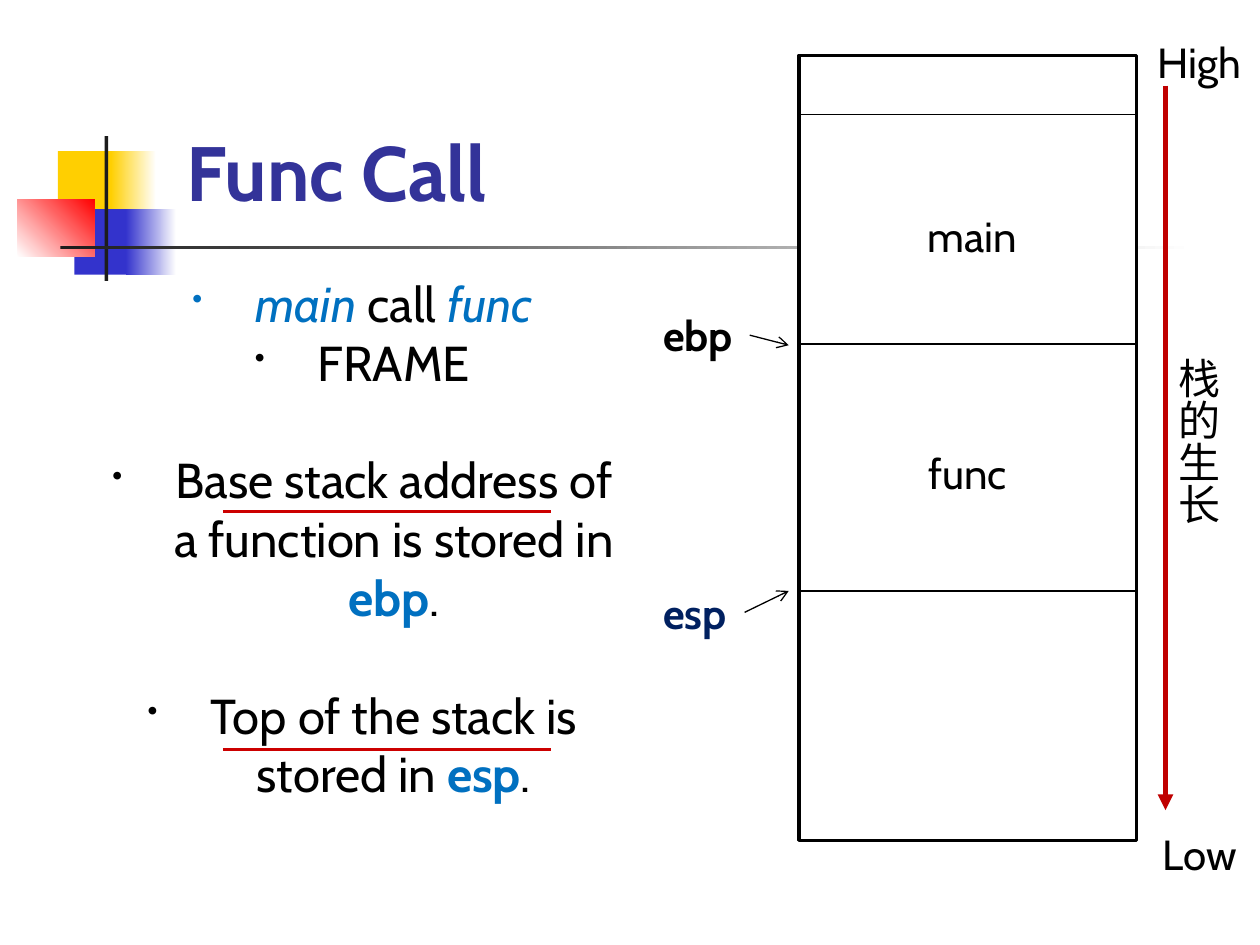
from dataclasses import dataclass
from typing import Optional

import lxml.etree
import pptx
import pptx.dml.color
import pptx.enum.shapes
import pptx.enum.text
import pptx.oxml.ns
import pptx.util

COLUMNS, ROWS = 100, 75
CELL = pptx.util.Inches(0.1)


@dataclass(frozen=True)
class Theme:
    font: str = "Cabin"
    title_size: int = 44
    body_size: int = 28
    label_size: int = 24
    paragraph_gap: float = 33.6
    thin: float = 0.75
    medium: float = 2
    thick: float = 3
    black: str = "000000"
    white: str = "FFFFFF"
    title: str = "333399"
    accent: str = "0070C0"
    navy: str = "002060"
    underline: str = "CC0000"
    growth: str = "C00000"
    yellow: str = "FFCF01"
    blue: str = "3333CC"
    red: str = "FF0000"
    charcoal: str = "1C1C1C"


THEME = Theme()


@dataclass(frozen=True)
class Area:
    column: float
    row: float
    columns: float
    rows: float

    def emu(self) -> list[int]:
        return [cells(n) for n in (self.column, self.row, self.columns, self.rows)]


@dataclass(frozen=True)
class Block:
    area: Area
    color: str
    fade_to: Optional[str] = None
    angle: float = 0
    outline: Optional[float] = None


@dataclass(frozen=True)
class Line:
    start: tuple[float, float]
    end: tuple[float, float]
    color: str = THEME.black
    width: float = THEME.thin
    arrowhead: Optional[str] = None


@dataclass(frozen=True)
class Label:
    text: str
    area: Area
    color: str = THEME.black
    bold: bool = False
    vertical: bool = False


@dataclass(frozen=True)
class Phrase:
    text: str
    color: str = THEME.black
    bold: bool = False
    italic: bool = False


@dataclass(frozen=True)
class Point:
    phrases: tuple[Phrase, ...]
    bullet: str = THEME.black
    gap: float = 0


def cells(count: float) -> int:
    return round(count * CELL)


def rgb(color: str) -> pptx.dml.color.RGBColor:
    return pptx.dml.color.RGBColor.from_string(color)


def add_child(parent, tag: str, **attributes: str):
    return lxml.etree.SubElement(parent, pptx.oxml.ns.qn(tag), attributes)


def set_font(font, size: float, color: Optional[str] = None, bold: Optional[bool] = None) -> None:
    font.name = THEME.font
    font.size = pptx.util.Pt(size)
    font.bold = bold
    if color:
        font.color.rgb = rgb(color)


def draw_block(slide, block: Block) -> None:
    rectangle = slide.shapes.add_shape(
        pptx.enum.shapes.MSO_SHAPE.RECTANGLE, *block.area.emu())
    rectangle.shadow.inherit = False
    if block.fade_to:
        rectangle.fill.gradient()
        rectangle.fill.gradient_angle = block.angle
        for stop, color in zip(rectangle.fill.gradient_stops, (block.color, block.fade_to)):
            stop.color.rgb = rgb(color)
    else:
        rectangle.fill.solid()
        rectangle.fill.fore_color.rgb = rgb(block.color)
    if block.outline:
        rectangle.line.color.rgb = rgb(THEME.black)
        rectangle.line.width = pptx.util.Pt(block.outline)
    else:
        rectangle.line.fill.background()


def draw_line(slide, line: Line) -> None:
    connector = slide.shapes.add_connector(
        pptx.enum.shapes.MSO_CONNECTOR.STRAIGHT,
        *(cells(n) for n in line.start + line.end))
    connector.line.color.rgb = rgb(line.color)
    connector.line.width = pptx.util.Pt(line.width)
    if line.arrowhead:
        add_child(connector.line._get_or_add_ln(), "a:tailEnd", type=line.arrowhead)
    add_child(connector._element.spPr, "a:effectLst")


def draw_label(slide, label: Label) -> None:
    frame = slide.shapes.add_textbox(*label.area.emu()).text_frame
    frame.word_wrap = False
    frame.auto_size = pptx.enum.text.MSO_AUTO_SIZE.SHAPE_TO_FIT_TEXT
    if label.vertical:
        frame._txBody.bodyPr.set("vert", "eaVert")
        frame.margin_left = frame.margin_right = cells(0.5)
        frame.margin_top = frame.margin_bottom = cells(1)
    paragraph = frame.paragraphs[0]
    paragraph.text = label.text
    paragraph.alignment = pptx.enum.text.PP_ALIGN.CENTER
    set_font(paragraph.font, THEME.label_size, label.color, label.bold)


def draw_points(slide, area: Area, points: list[Point]) -> None:
    frame = slide.shapes.add_textbox(*area.emu()).text_frame
    frame.word_wrap = True
    for index, point in enumerate(points):
        paragraph = frame.add_paragraph() if index else frame.paragraphs[0]
        paragraph.alignment = pptx.enum.text.PP_ALIGN.CENTER
        paragraph.space_before = pptx.util.Pt(point.gap)
        properties = paragraph._p.get_or_add_pPr()
        properties.set("marL", str(cells(5)))
        properties.set("indent", str(-cells(5)))
        add_child(add_child(properties, "a:buClr"), "a:srgbClr", val=point.bullet)
        add_child(properties, "a:buSzPct", val="60000")
        add_child(properties, "a:buChar", char="•")
        set_font(paragraph.font, THEME.body_size)
        for phrase in point.phrases:
            run = paragraph.add_run()
            run.text = phrase.text
            run.font.color.rgb = rgb(phrase.color)
            run.font.bold = phrase.bold
            run.font.italic = phrase.italic


def draw_title(slide, text: str, area: Area) -> None:
    title = slide.shapes.title
    title.left, title.top, title.width, title.height = area.emu()
    frame = title.text_frame
    frame.text = text
    frame.auto_size = pptx.enum.text.MSO_AUTO_SIZE.NONE
    frame.vertical_anchor = pptx.enum.text.MSO_ANCHOR.BOTTOM
    frame.paragraphs[0].alignment = pptx.enum.text.PP_ALIGN.LEFT
    set_font(frame.paragraphs[0].font, THEME.title_size, THEME.title, True)


STACK = Area(63.4, 4.4, 26.8, 62.3)
FRAME_EDGES = (9.1, 27.3, 46.9)
UNDERLINE_ROWS = (40.6, 59.5)

BLOCKS = [
    Block(Area(4.6, 12, 4.8, 5.2), THEME.yellow),
    Block(Area(8.8, 12, 3.6, 5.2), THEME.yellow, THEME.white),
    Block(Area(5.9, 16.6, 4.6, 5.2), THEME.blue),
    Block(Area(10, 16.6, 4, 5.2), THEME.blue, THEME.white),
    Block(Area(1.4, 15.8, 6.1, 4.6), THEME.white, THEME.red, angle=45),
    Block(Area(8.3, 10.8, 0.3, 11.5), THEME.charcoal),
    Block(Area(4.8, 19.5, 90, 0.3), THEME.charcoal, THEME.white),
    Block(STACK, THEME.white, outline=THEME.medium),
]
LINES = [
    *(Line((STACK.column, row), (STACK.column + STACK.columns, row)) for row in FRAME_EDGES),
    Line((59.5, 26.6), (62.6, 27.4), arrowhead="arrow"),
    Line((59.1, 48.6), (62.6, 46.9), arrowhead="arrow"),
    *(Line((17.7, row), (43.7, row), THEME.underline, THEME.medium) for row in UNDERLINE_ROWS),
    Line((92.5, 6.8), (92.5, 64.3), THEME.growth, THEME.thick, "triangle"),
]
LABELS = [
    Label("main", Area(72.2, 16.2, 9.9, 5)),
    Label("func", Area(72.4, 35, 8.8, 5)),
    Label("ebp", Area(51.3, 24.1, 8.2, 5), bold=True),
    Label("esp", Area(51.3, 46.1, 7.7, 5), THEME.navy, bold=True),
    Label("High", Area(90.5, 2.4, 9.4, 5)),
    Label("Low", Area(91, 65.3, 8.4, 5)),
    Label("栈的生长", Area(91.6, 27.4, 6, 14.4), vertical=True),
]
POINTS = [
    Point((Phrase("main", THEME.accent, italic=True), Phrase(" call "),
           Phrase("func", THEME.accent, italic=True)), THEME.accent),
    Point((Phrase("FRAME"),)),
    *(Point((Phrase(lead), Phrase(register, THEME.accent, bold=True), Phrase(".")),
            gap=THEME.paragraph_gap)
      for lead, register in (("Base stack address of a function is stored in ", "ebp"),
                             ("Top of the stack is stored in ", "esp"))),
]


def main() -> None:
    deck = pptx.Presentation()
    deck.slide_width, deck.slide_height = cells(COLUMNS), cells(ROWS)
    slide = deck.slides.add_slide(deck.slide_layouts[5])
    draw_title(slide, "Func Call", Area(13.8, 5.2, 32.3, 12.5))
    for block in BLOCKS:
        draw_block(slide, block)
    draw_points(slide, Area(7.3, 21.2, 42.9, 47.7), POINTS)
    for line in LINES:
        draw_line(slide, line)
    for label in LABELS:
        draw_label(slide, label)
    deck.save("out.pptx")


if __name__ == "__main__":
    main()
